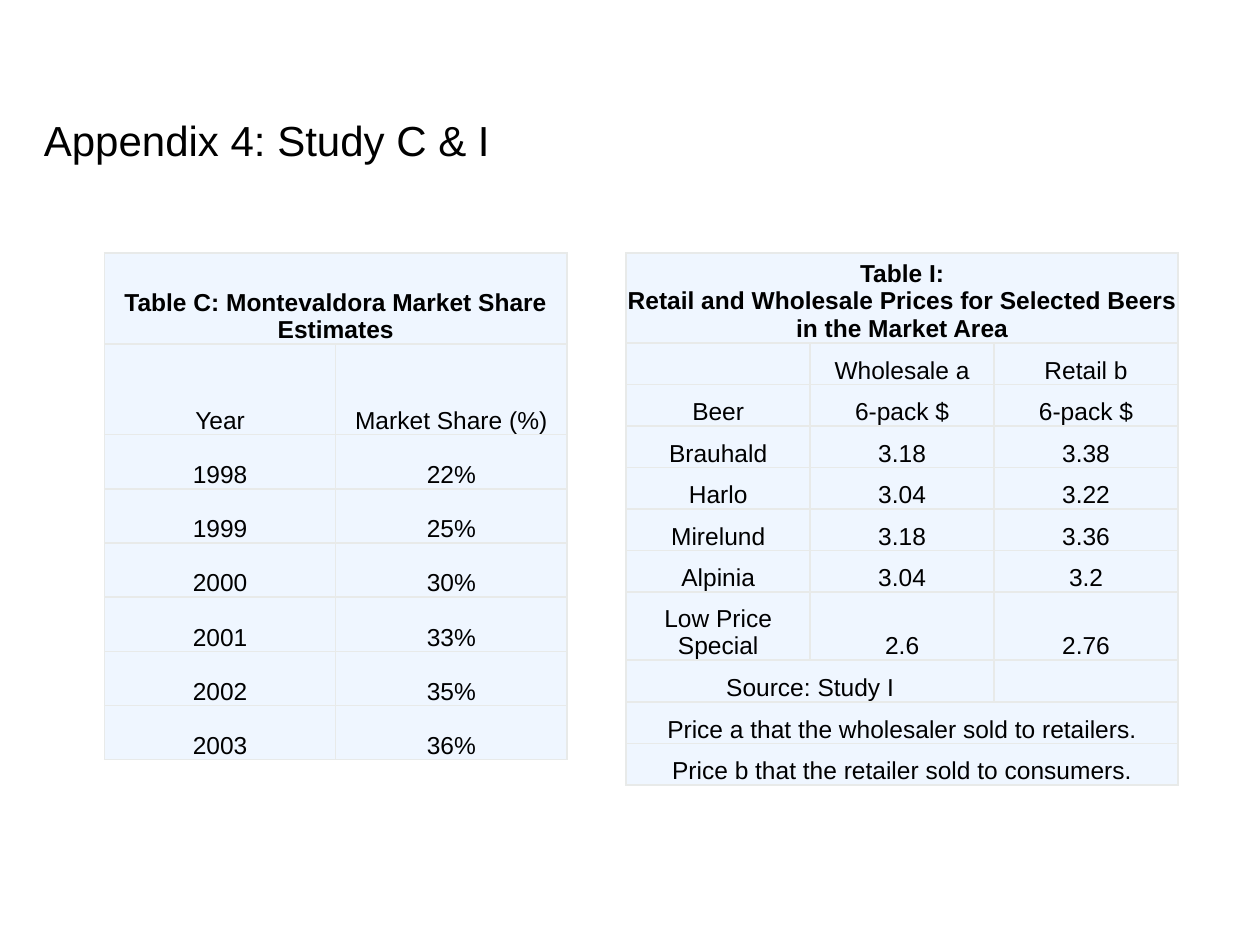
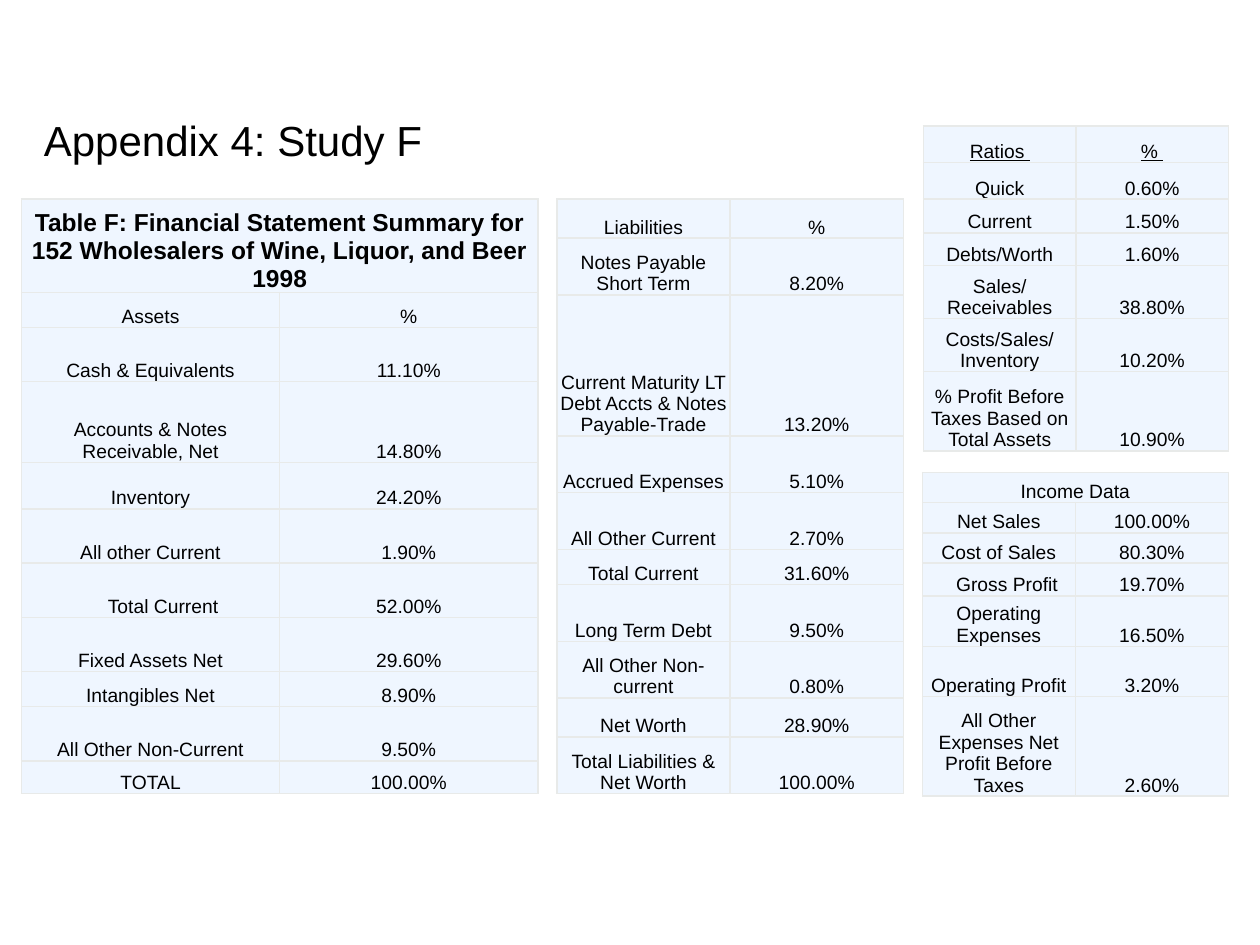
from lxml.etree import SubElement
from pptx import Presentation
from pptx.dml.color import RGBColor
from pptx.enum.text import MSO_ANCHOR as Anchor, PP_ALIGN as Align
from pptx.oxml.ns import qn
from pptx.util import Inches, Pt

FONT = "Arial"
BLACK, CELL_FILL, BORDER = "000000", "EFF6FF", "E8EAE9"


def color(value):
    return RGBColor.from_string(value)


def write(frame, text, size=11, bold=False, underline=False,
          align=Align.LEFT, indent=0):
    """Fill a text frame, one paragraph per line of text."""
    for number, line in enumerate(text.split("\n")):
        paragraph = frame.add_paragraph() if number else frame.paragraphs[0]
        paragraph.alignment = align
        if indent:
            paragraph._p.get_or_add_pPr().set("marL", str(Inches(indent)))
        run = paragraph.add_run()
        run.text = line
        font = run.font
        font.name, font.size = FONT, Pt(size)
        font.bold, font.underline = bold, underline
        font.color.rgb = color(BLACK)


class Deck:
    def __init__(self):
        self.presentation = Presentation()
        self.presentation.slide_width = Inches(10)
        self.presentation.slide_height = Inches(7.5)
        self.slide = None

    def add_slide(self, title):
        layout = self.presentation.slide_layouts[6]
        self.slide = self.presentation.slides.add_slide(layout)
        box = self.slide.shapes.add_textbox(
            Inches(0.25), Inches(0.73), Inches(9.04), Inches(0.75))
        box.text_frame.word_wrap = True
        box.text_frame.vertical_anchor = Anchor.MIDDLE
        write(box.text_frame, title, size=24)

    def add_table(self, left, top, width, rows, size=11, heading=None,
                  indents=None):
        """Rows are (height, cells...); a None cell joins the one to its left.

        heading holds the format of the first row, indents maps a row
        number to the indent of its first cell.
        """
        columns = len(rows[0]) - 1
        height = sum(row[0] for row in rows)
        table = self.slide.shapes.add_table(
            len(rows), columns, Inches(left), Inches(top),
            Inches(width), Inches(height)).table
        table.first_row = table.horz_banding = False
        for column in table.columns:
            column.width = Inches(width / columns)

        for row_number, (row_height, *texts) in enumerate(rows):
            table.rows[row_number].height = Inches(row_height)
            cell_format = {"size": size, "align": Align.CENTER}
            if row_number == 0:
                cell_format.update(heading or {})
            for column_number, text in enumerate(texts):
                cell = table.cell(row_number, column_number)
                self.style_cell(cell)
                if text:
                    indent = (indents or {}).get(row_number, 0)
                    write(cell.text_frame, text, **cell_format,
                          indent=0 if column_number else indent)
            if None in texts:
                start = texts.index(None) - 1
                end = start + texts.count(None)
                table.cell(row_number, start).merge(
                    table.cell(row_number, end))

    def style_cell(self, cell):
        cell.margin_left = cell.margin_right = cell.margin_top = Inches(0.01)
        cell.margin_bottom = 0
        cell.vertical_anchor = Anchor.BOTTOM
        properties = cell._tc.get_or_add_tcPr()
        for side in ("a:lnL", "a:lnR", "a:lnT", "a:lnB"):
            line = SubElement(properties, qn(side), w=str(Pt(1)))
            fill = SubElement(line, qn("a:solidFill"))
            SubElement(fill, qn("a:srgbClr"), val=BORDER)
        cell.fill.solid()
        cell.fill.fore_color.rgb = color(CELL_FILL)


def build_study_c_and_i(deck):
    deck.add_slide("Appendix 4: Study C & I")
    bold_heading = {"bold": True}

    # Retail and wholesale prices
    deck.add_table(4.97, 2.01, 4.38, [
        (0.54, "Table I:\nRetail and Wholesale Prices for Selected "
               "Beers in the Market Area", None, None),
        (0.33, "", "Wholesale a", "Retail b"),
        (0.33, "Beer", "6-pack $", "6-pack $"),
        (0.33, "Brauhald", "3.18", "3.38"),
        (0.33, "Harlo", "3.04", "3.22"),
        (0.33, "Mirelund", "3.18", "3.36"),
        (0.33, "Alpinia", "3.04", "3.2"),
        (0.54, "Low Price Special", "2.6", "2.76"),
        (0.33, "Source: Study I", None, ""),
        (0.33, "Price a that the wholesaler sold to retailers.", None, None),
        (0.33, "Price b that the retailer sold to consumers.", None, None),
    ], size=14, heading=bold_heading)

    # Market share by year
    shares = ["22%", "25%", "30%", "33%", "35%", "36%"]
    deck.add_table(0.83, 2.01, 3.67, [
        (0.72, "Table C: Montevaldora Market Share Estimates", None),
        (0.72, "Year", "Market Share (%)"),
        *((0.43, str(year), share) for year, share in enumerate(shares, 1998)),
    ], size=14, heading=bold_heading)


def build_study_f(deck):
    deck.add_slide("Appendix 4: Study F")

    # Assets
    deck.add_table(0.17, 1.58, 4.1, [
        (0.74, "Table F: Financial Statement Summary for 152 Wholesalers "
               "of Wine, Liquor, and Beer 1998", None),
        (0.28, "Assets", "%"),
        (0.43, "Cash & Equivalents", "11.10%"),
        (0.64, "Accounts & Notes Receivable, Net", "14.80%"),
        (0.37, "Inventory", "24.20%"),
        (0.43, "All other Current", "1.90%"),
        (0.43, "Total Current", "52.00%"),
        (0.43, "Fixed Assets Net", "29.60%"),
        (0.28, "Intangibles Net", "8.90%"),
        (0.43, "All Other Non-Current", "9.50%"),
        (0.26, "TOTAL", "100.00%"),
    ], heading={"size": 14, "bold": True}, indents={6: 0.2})

    # Liabilities
    deck.add_table(4.42, 1.58, 2.75, [
        (0.31, "Liabilities", "%"),
        (0.45, "Notes Payable Short Term", "8.20%"),
        (1.12, "Current Maturity LT Debt Accts & Notes Payable-Trade",
         "13.20%"),
        (0.45, "Accrued Expenses", "5.10%"),
        (0.45, "All Other Current", "2.70%"),
        (0.28, "Total Current", "31.60%"),
        (0.45, "Long Term Debt", "9.50%"),
        (0.45, "All Other Non-current", "0.80%"),
        (0.31, "Net Worth", "28.90%"),
        (0.45, "Total Liabilities & Net Worth", "100.00%"),
    ])

    # Ratios
    deck.add_table(7.33, 1, 2.42, [
        (0.29, "Ratios ", "% "),
        (0.29, "Quick", "0.60%"),
        (0.27, "Current", "1.50%"),
        (0.26, "Debts/Worth", "1.60%"),
        (0.42, "Sales/Receivables", "38.80%"),
        (0.42, "Costs/Sales/Inventory", "10.20%"),
        (0.63, "% Profit Before Taxes Based on Total Assets", "10.90%"),
    ], heading={"underline": True})

    # Income
    deck.add_table(7.32, 3.75, 2.43, [
        (0.24, "Income Data", None),
        (0.24, "Net Sales", "100.00%"),
        (0.24, "Cost of Sales", "80.30%"),
        (0.26, "Gross Profit", "19.70%"),
        (0.4, "Operating Expenses", "16.50%"),
        (0.4, "Operating Profit", "3.20%"),
        (0.79, "All Other Expenses Net Profit Before Taxes", "2.60%"),
    ], indents={3: 0.13})


def main():
    deck = Deck()
    build_study_c_and_i(deck)
    build_study_f(deck)
    deck.presentation.save("out.pptx")


if __name__ == "__main__":
    main()
